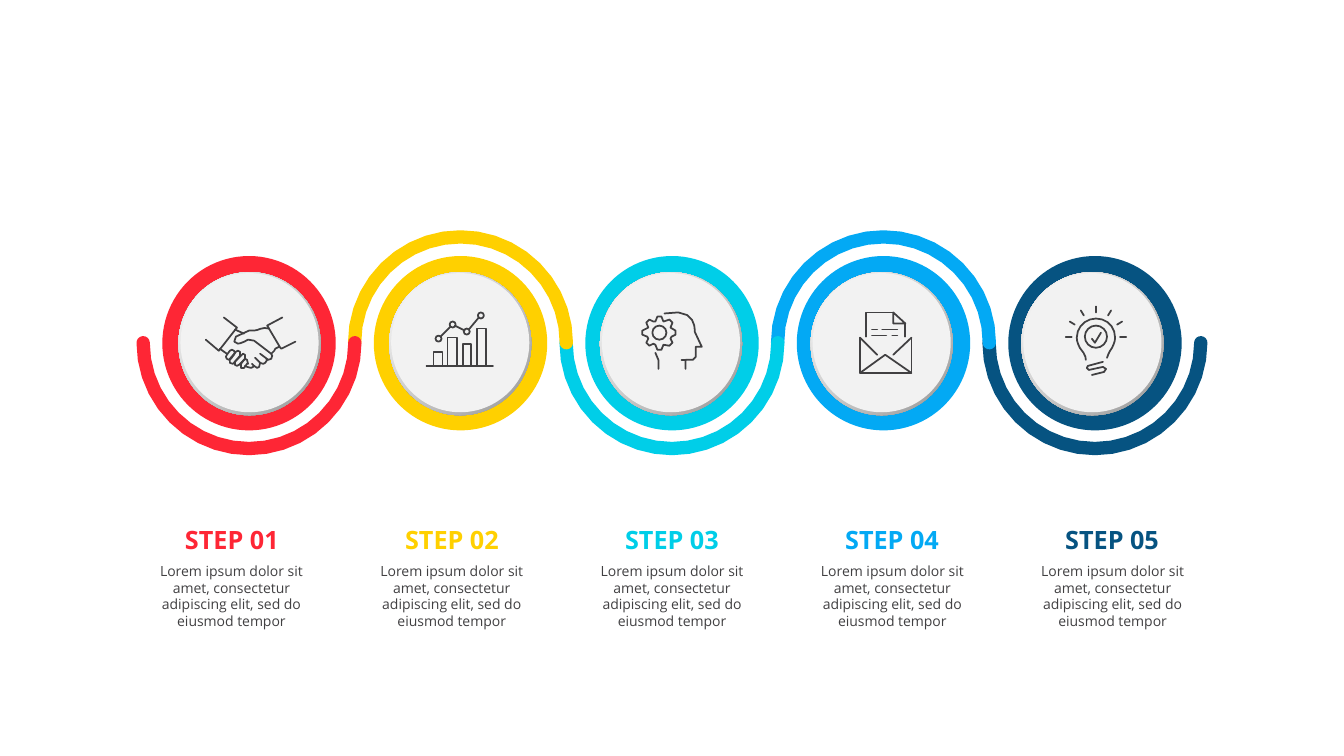
"""Build a slide with five steps along a winding line."""
from dataclasses import dataclass
from math import cos, dist, radians, sin

from lxml.etree import SubElement
from pptx import Presentation
from pptx.dml.color import RGBColor
from pptx.enum.shapes import MSO_SHAPE
from pptx.enum.text import MSO_AUTO_SIZE, PP_ALIGN
from pptx.oxml.ns import qn
from pptx.shapes.autoshape import Shape
from pptx.slide import Slide
from pptx.util import Emu, Pt

EMU_PER_PX = 9144
Point = tuple[float, float]
Contour = tuple[list[Point], bool]


@dataclass(frozen=True)
class Theme:
    font: str = "Open Sans"
    ink: str = "414042"
    face: str = "F2F2F2"
    rim_dark: str = "979797"
    rim_light: str = "FFFFFF"
    title_size: float = 18
    body_size: float = 10
    wave_weight: float = 9.5
    icon_weight: float = 1.25


@dataclass(frozen=True)
class Icon:
    strokes: tuple[str, ...]
    circles: tuple[tuple[int, int, int], ...] = ()


@dataclass(frozen=True)
class Step:
    title: str
    color: str
    icon: Icon


THEME = Theme()
BODY = "Lorem ipsum dolor sit amet, consectetur adipiscing elit, sed do eiusmod tempor"

HANDSHAKE = Icon((
    "227,357 225,356 224,354 225,352 228,348 230,347 232,348 233,350 232,352 229,356 Z",
    "258,351 266,357 269,356 270,353 269,351",
    "253,355 258,360 261,361 263,360 265,357 264,356",
    "250,361 252,363 255,365 257,364 258,360",
    "243,363 245,364 249,365 251,364 252,363",
    "232,360 238,353 238,349 236,348 234,349 228,356 228,360 231,361 Z",
    "237,362 243,356 243,352 241,351 239,353 233,359 233,362 235,363 Z",
    "245,361 246,361 245,357 243,356 242,357 239,361 239,365 241,365 242,365 Z",
    "280,315 265,323 278,345 279,346 293,339",
    "267,326 260,324,256,328,252,328 247,328 234,334 "
    "229,337,234,342,236,341 238,341,243,339,246,337 252,338 269,351",
    "277,344 273,346 272,348 269,351",
    "204,337 217,348 235,325 222,315",
    "218,346 225,351",
    "242,331 233,327",
))
GROWTH = Icon((
    "489,363 423,363",
    "439,349 430,349 430,363 439,363 Z",
    "453,335 444,335 444,363 453,363 Z",
    "467,341 459,341 459,363 467,363 Z",
    "482,326 473,326 473,363 482,363 Z",
    "465,327 475,315",
    "451,323 461,328",
    "447,324 437,334",
), ((435, 336, 3), (449, 322, 3), (463, 329, 3), (477, 313, 3)))
THINKING = Icon((
    "659,311 692,304,689,329,689,329 696,344 690,344 690,354 687,357 680,357 680,366",
    "653,366 653,357 650,350",
    "670,332 670,328 665,325 667,320 664,317 658,319 656,314 652,314 "
    "650,319 648,319 644,317 641,320 643,325 637,328 637,332 642,334 643,336 "
    "641,340 644,343 648,341 650,342 652,347 656,347 658,342 664,343 667,340 "
    "665,336 666,334 Z",
    "680,357 676,357",
), ((654, 330, 7),))
LETTER = Icon((
    "904,335 904,370 853,370 853,335",
    "904,370 878,352 853,370",
    "904,335 886,352",
    "853,335 870,352",
    "898,334 898,321",
    "886,310 859,310 859,334",
    "898,321 886,310 886,321 898,321",
    "870,327 865,327",
    "890,327 875,327",
    "865,333 879,333",
    "890,333 885,333",
))
IDEA = Icon((
    "1077,357 1077,354,1076,351,1071,345 1069,341,1068,338,1068,335 "
    "1068,324,1077,316,1087,316 1098,316,1106,324,1106,335 "
    "1106,338,1105,341,1103,345 1100,349,1099,352,1098,355",
    "1083,336 1086,340 1092,330",
    "1087,310 1087,304",
    "1075,313 1072,308",
    "1061,319 1066,322",
    "1057,334 1063,334",
    "1102,308 1099,313",
    "1113,319 1108,322",
    "1111,334 1117,334",
    "1094,359 1079,363 1078,365 1080,367 1094,364 1097,366 1095,369 1083,372",
), ((1087, 334, 11),))

STEPS = (
    Step("STEP 01", "FE2635", HANDSHAKE),
    Step("STEP 02", "FFD000", GROWTH),
    Step("STEP 03", "00CEE8", THINKING),
    Step("STEP 04", "03A9F4", LETTER),
    Step("STEP 05", "065381", IDEA),
)


def px(value: float) -> Emu:
    return Emu(round(value * EMU_PER_PX))


def spread(first: int, last: int, index: int) -> float:
    return first + (last - first) * index / (len(STEPS) - 1)


def arc(center: Point, radius: int, sweep: int, parts: int) -> list[Point]:
    angles = [radians(sweep * part / parts) for part in range(parts + 1)]
    return [(center[0] + radius * cos(angle), center[1] + radius * sin(angle)) for angle in angles]


def trace(stroke: str) -> Contour:
    points: list[Point] = []
    for token in stroke.removesuffix(" Z").split():
        *controls, x, y = map(int, token.split(","))
        if controls:
            (x0, y0), (x1, y1, x2, y2) = points[-1], controls
            parts = min(6, 1 + round(dist((x0, y0), (x, y)) / 6))
            for t in [part / parts for part in range(1, parts)]:
                a, b, c, d = (1 - t) ** 3, 3 * t * (1 - t) ** 2, 3 * t * t * (1 - t), t ** 3
                points.append((a * x0 + b * x1 + c * x2 + d * x, a * y0 + b * y1 + c * y2 + d * y))
        points.append((x, y))
    return points, stroke.endswith("Z")


def add_outline(slide: Slide, contours: list[Contour], color: str, weight: float) -> None:
    (first, _), *_ = contours
    builder = slide.shapes.build_freeform(*map(px, first[0]))
    for index, (points, closed) in enumerate(contours):
        start, *rest = [(px(x), px(y)) for x, y in points]
        if index:
            builder.move_to(*start)
        builder.add_line_segments(rest, close=closed)
    shape = builder.convert_to_shape()
    shape.shadow.inherit = False
    shape.fill.background()
    shape.line.color.rgb = RGBColor.from_string(color)
    shape.line.width = Pt(weight)
    line = shape.element.spPr.find(qn("a:ln"))
    line.set("cap", "rnd")
    SubElement(line, qn("a:round"))


def add_ellipse(slide: Slide, left: float, top: int, width: int, height: int, color: str) -> Shape:
    shape = slide.shapes.add_shape(MSO_SHAPE.OVAL, px(left), px(top), px(width), px(height))
    shape.shadow.inherit = False
    shape.line.fill.background()
    shape.fill.solid()
    shape.fill.fore_color.rgb = RGBColor.from_string(color)
    return shape


def add_disc(slide: Slide, index: int) -> None:
    rim = add_ellipse(slide, spread(177, 1013, index), 270, 141, 142, THEME.rim_dark)
    rim.fill.gradient()
    rim.fill.gradient_angle = 135
    for stop, position, color in zip(rim.fill.gradient_stops, (0, 1), (THEME.rim_dark, THEME.rim_light)):
        stop.position = position
        stop.color.rgb = RGBColor.from_string(color)
    add_ellipse(slide, spread(179, 1015, index), 271, 137, 138, THEME.face)


def add_text(slide: Slide, left: float, top: int, width: int, height: int, text: str,
             color: str, size: float, heading: bool) -> None:
    frame = slide.shapes.add_textbox(px(left), px(top), px(width), px(height)).text_frame
    frame.word_wrap = not heading
    frame.auto_size = MSO_AUTO_SIZE.SHAPE_TO_FIT_TEXT
    if heading:
        frame.margin_left = frame.margin_top = frame.margin_right = frame.margin_bottom = 0
    paragraph = frame.paragraphs[0]
    paragraph.alignment = PP_ALIGN.CENTER
    run = paragraph.add_run()
    run.text = text
    run.font.name = THEME.font
    run.font.size = Pt(size)
    run.font.bold = heading
    run.font.color.rgb = RGBColor.from_string(color)


def main() -> None:
    presentation = Presentation()
    presentation.slide_width, presentation.slide_height = px(1333), px(750)
    slide = presentation.slides.add_slide(presentation.slide_layouts[6])
    for index, step in reversed(list(enumerate(STEPS))):
        half = arc((spread(247, 1086, index), 340), 105, -180 if index % 2 else 180, 20)
        add_outline(slide, [(half, False)], step.color, THEME.wave_weight)
    for index, step in enumerate(STEPS):
        add_ellipse(slide, spread(161, 1000, index), 254, 172, 173, step.color)
        add_disc(slide, index)
        contours = [trace(stroke) for stroke in step.icon.strokes]
        contours += [(arc((x, y), radius, 360, radius + 5), True) for x, y, radius in step.icon.circles]
        add_outline(slide, contours, THEME.ink, THEME.icon_weight)
        add_text(slide, spread(183, 1056, index), 520, 94, 30, step.title,
                 step.color, THEME.title_size, True)
        add_text(slide, spread(147, 1021, index), 553, 165, 77, BODY,
                 THEME.ink, THEME.body_size, False)
    presentation.save("out.pptx")


if __name__ == "__main__":
    main()
